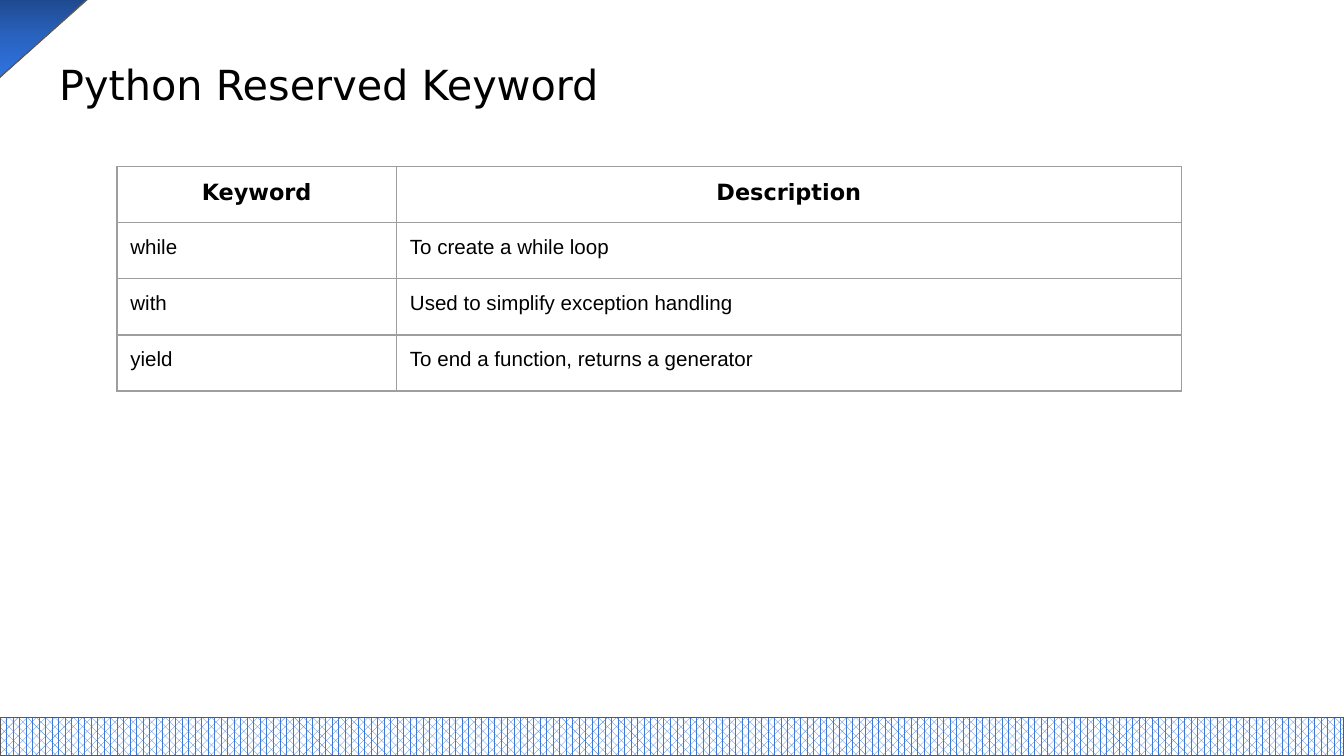
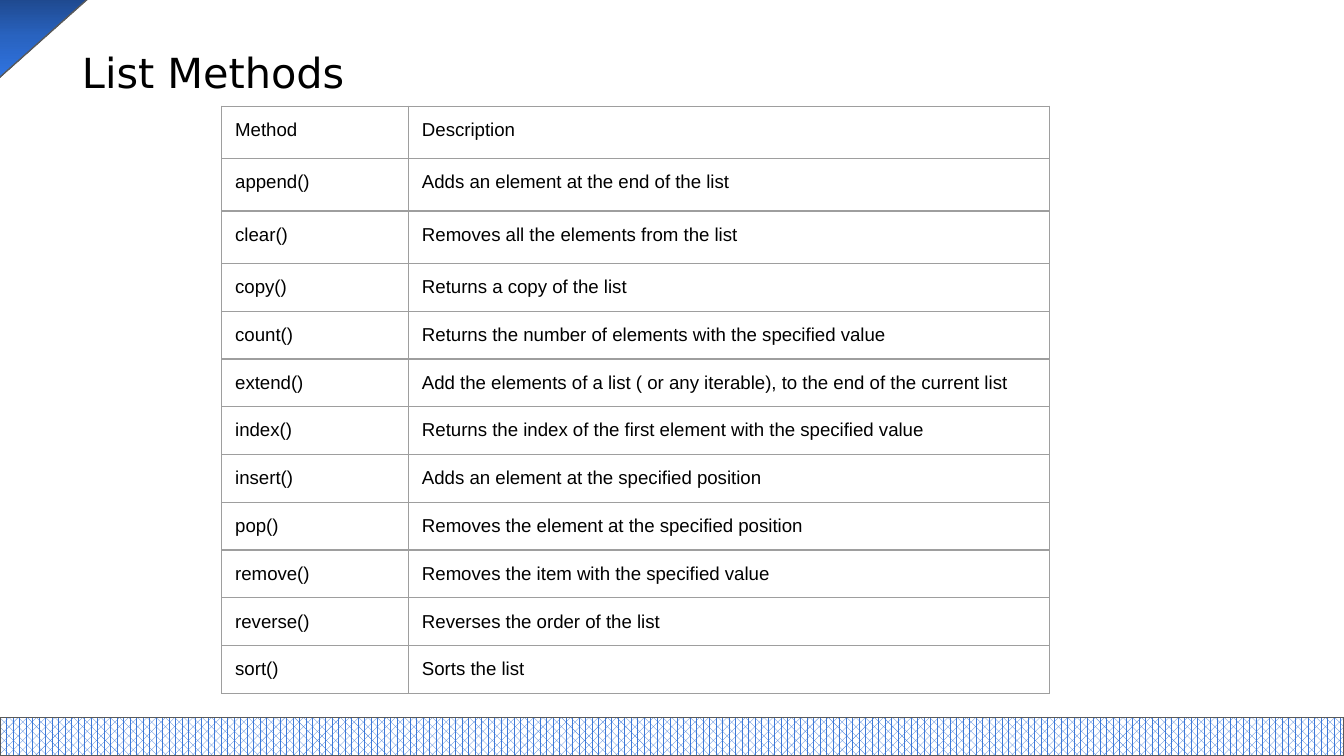
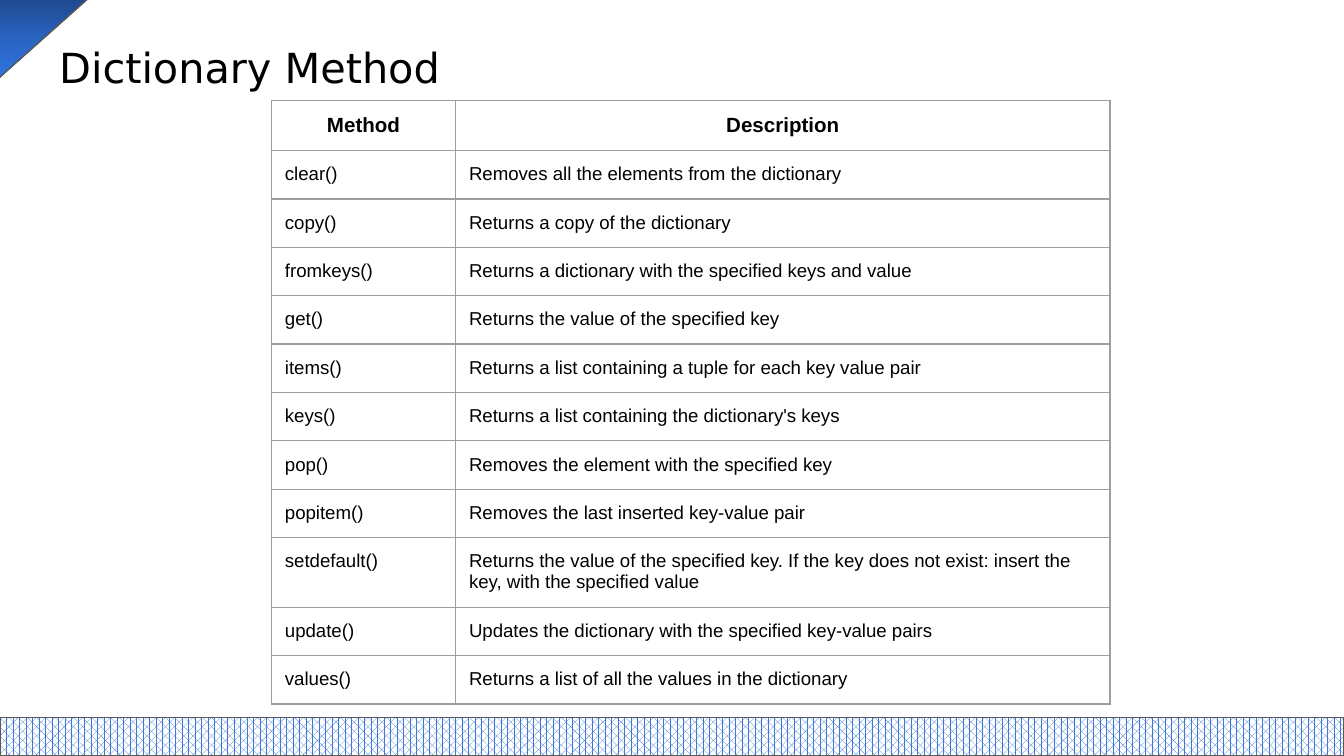
import copy

import pptx
import pptx.dml.color
import pptx.enum.dml
import pptx.enum.shapes
import pptx.enum.text
import pptx.oxml
import pptx.oxml.ns
import pptx.util

Inches = pptx.util.Inches
Pt = pptx.util.Pt
Align = pptx.enum.text.PP_ALIGN
Preset = pptx.enum.shapes.MSO_SHAPE

COLOURS = {
    "text": "000000",
    "grid": "9E9E9E",
    "outline": "595959",
    "band": "3C78D8",
    "paper": "FFFFFF",
    "corner start": "1D4587",
    "corner middle": "2963C0",
    "corner end": "3075E4",
}
RGB = {name: pptx.dml.color.RGBColor.from_string(value) for name, value in COLOURS.items()}
HEADING_FONT = "DejaVu Sans"
BODY_FONT = "Arial"


def write_text(text_frame, text, font=BODY_FONT, size=10, bold=False, align=Align.LEFT):
    paragraph = text_frame.paragraphs[0]
    paragraph.alignment = align
    run = paragraph.add_run()
    run.text = text
    run.font.name = font
    run.font.size = Pt(size)
    run.font.bold = bold
    run.font.color.rgb = RGB["text"]


def draw_borders(cell):
    properties = cell._tc.get_or_add_tcPr()
    for side in ("lnL", "lnR", "lnT", "lnB"):
        properties.append(pptx.oxml.parse_xml(
            f'<a:{side} {pptx.oxml.ns.nsdecls("a")} w="{Pt(0.75)}"><a:solidFill>'
            f'<a:srgbClr val="{COLOURS["grid"]}"/></a:solidFill></a:{side}>'))


# Contents of each slide: the first row of a table is its header
slides = [
    {
        "title": "Python Reserved Keyword",
        "title at": (0.34, 0.34),
        "table at": (0.87, 1.24),
        "columns": (2.08, 5.84),
        "heights": [1.67 / 4] * 4,
        "header": {"font": HEADING_FONT, "size": 12, "bold": True, "align": Align.CENTER},
        "size": 11,
        "rows": [
            ("Keyword", "Description"),
            ("while", "To create a while loop"),
            ("with", "Used to simplify exception handling"),
            ("yield", "To end a function, returns a generator"),
        ],
    },
    {
        "title": "List Methods",
        "title at": (0.51, 0.25),
        "table at": (1.65, 0.79),
        "columns": (1.39, 4.77),
        "heights": [0.39] * 3 + [0.35] * 9,
        "header": {"size": 10},
        "size": 10,
        "rows": [
            ("Method", "Description"),
            ("append()", "Adds an element at the end of the list"),
            ("clear()", "Removes all the elements from the list"),
            ("copy()", "Returns a copy of the list"),
            ("count()", "Returns the number of elements with the specified value"),
            ("extend()", "Add the elements of a list ( or any iterable), to the end of the current list"),
            ("index()", "Returns the index of the first element with the specified value"),
            ("insert()", "Adds an element at the specified position"),
            ("pop()", "Removes the element at the specified position"),
            ("remove()", "Removes the item with the specified value"),
            ("reverse()", "Reverses the order of the list"),
            ("sort()", "Sorts the list"),
        ],
    },
    {
        "title": "Dictionary Method",
        "title at": (0.34, 0.21),
        "table at": (2.02, 0.75),
        "columns": (1.37, 4.87),
        "heights": [0.37] + [0.36] * 8 + [0.52] + [0.36] * 2,
        "header": {"size": 11, "bold": True, "align": Align.CENTER},
        "size": 10,
        "rows": [
            ("Method", "Description"),
            ("clear()", "Removes all the elements from the dictionary"),
            ("copy()", "Returns a copy of the dictionary"),
            ("fromkeys()", "Returns a dictionary with the specified keys and value"),
            ("get()", "Returns the value of the specified key"),
            ("items()", "Returns a list containing a tuple for each key value pair"),
            ("keys()", "Returns a list containing the dictionary's keys"),
            ("pop()", "Removes the element with the specified key"),
            ("popitem()", "Removes the last inserted key-value pair"),
            ("setdefault()", "Returns the value of the specified key. If the key does not exist: "
                             "insert the key, with the specified value"),
            ("update()", "Updates the dictionary with the specified key-value pairs"),
            ("values()", "Returns a list of all the values in the dictionary"),
        ],
    },
]

# Widescreen presentation, 16 to 9
presentation = pptx.Presentation()
presentation.slide_width = Inches(10)
presentation.slide_height = Inches(10 * 9 / 16)
title_only = presentation.slide_layouts[5]

for content in slides:
    slide = presentation.slides.add_slide(title_only)
    slide.background.fill.solid()
    slide.background.fill.fore_color.rgb = RGB["paper"]

    # Title
    title = slide.shapes.title
    title.left, title.top = map(Inches, content["title at"])
    title.width, title.height = Inches(9.32), Inches(0.63)
    frame = title.text_frame
    frame.auto_size = pptx.enum.text.MSO_AUTO_SIZE.NONE
    frame.word_wrap = True
    frame.vertical_anchor = pptx.enum.text.MSO_ANCHOR.TOP
    frame.margin_left = frame.margin_right = frame.margin_top = frame.margin_bottom = Inches(0.1)
    write_text(frame, content["title"], font=HEADING_FONT, size=22.2)

    # Table
    rows, columns, heights = content["rows"], content["columns"], content["heights"]
    left, top = content["table at"]
    table = slide.shapes.add_table(
        len(rows), len(columns), Inches(left), Inches(top),
        Inches(sum(columns)), Inches(sum(heights))).table
    table.first_row = table.horz_banding = False
    for column, width in zip(table.columns, columns):
        column.width = Inches(width)
    for row_number, (row, height, texts) in enumerate(zip(table.rows, heights, rows)):
        row.height = Inches(height)
        text_format = {"size": content["size"]} if row_number else content["header"]
        for cell, text in zip(row.cells, texts):
            cell.margin_left = cell.margin_right = Inches(0.1)
            cell.margin_top = cell.margin_bottom = Inches(0.1)
            draw_borders(cell)
            cell.fill.background()
            write_text(cell.text_frame, text, **text_format)

    # Patterned band along the bottom
    band = slide.shapes.add_shape(
        Preset.RECTANGLE, Inches(0), Inches(5.34), Inches(10), Inches(0.28))
    band.fill.patterned()
    band.fill.pattern = pptx.enum.dml.MSO_PATTERN.PERCENT_70
    band.fill.fore_color.rgb = RGB["band"]
    band.fill.back_color.rgb = RGB["paper"]

    # Gradient triangle in the top left corner
    corner = slide.shapes.add_shape(
        Preset.RIGHT_TRIANGLE, Inches(0.01), Inches(-0.09), Inches(0.65), Inches(0.73))
    corner.rotation = 90
    corner.fill.gradient()
    corner.fill.gradient_angle = 0
    first_stop = corner.fill.gradient_stops[0]._gs
    first_stop.addnext(copy.deepcopy(first_stop))
    for number, name in enumerate(("corner start", "corner middle", "corner end")):
        stop = corner.fill.gradient_stops[number]
        stop.position = number / 2
        stop.color.rgb = RGB[name]

    for shape in (band, corner):
        shape.shadow.inherit = False
        shape.line.color.rgb = RGB["outline"]
        shape.line.width = Pt(0.75)

presentation.save("out.pptx")
